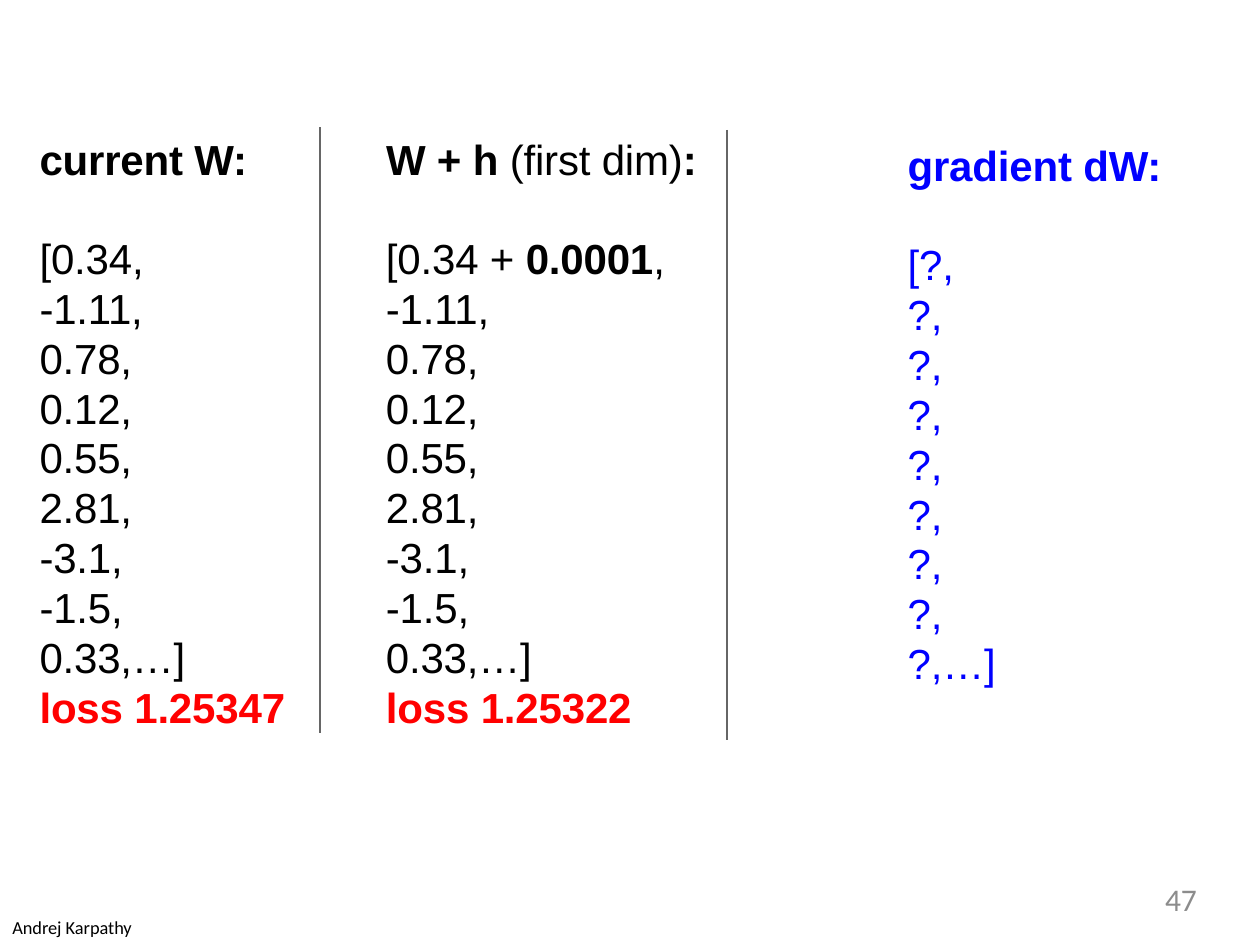
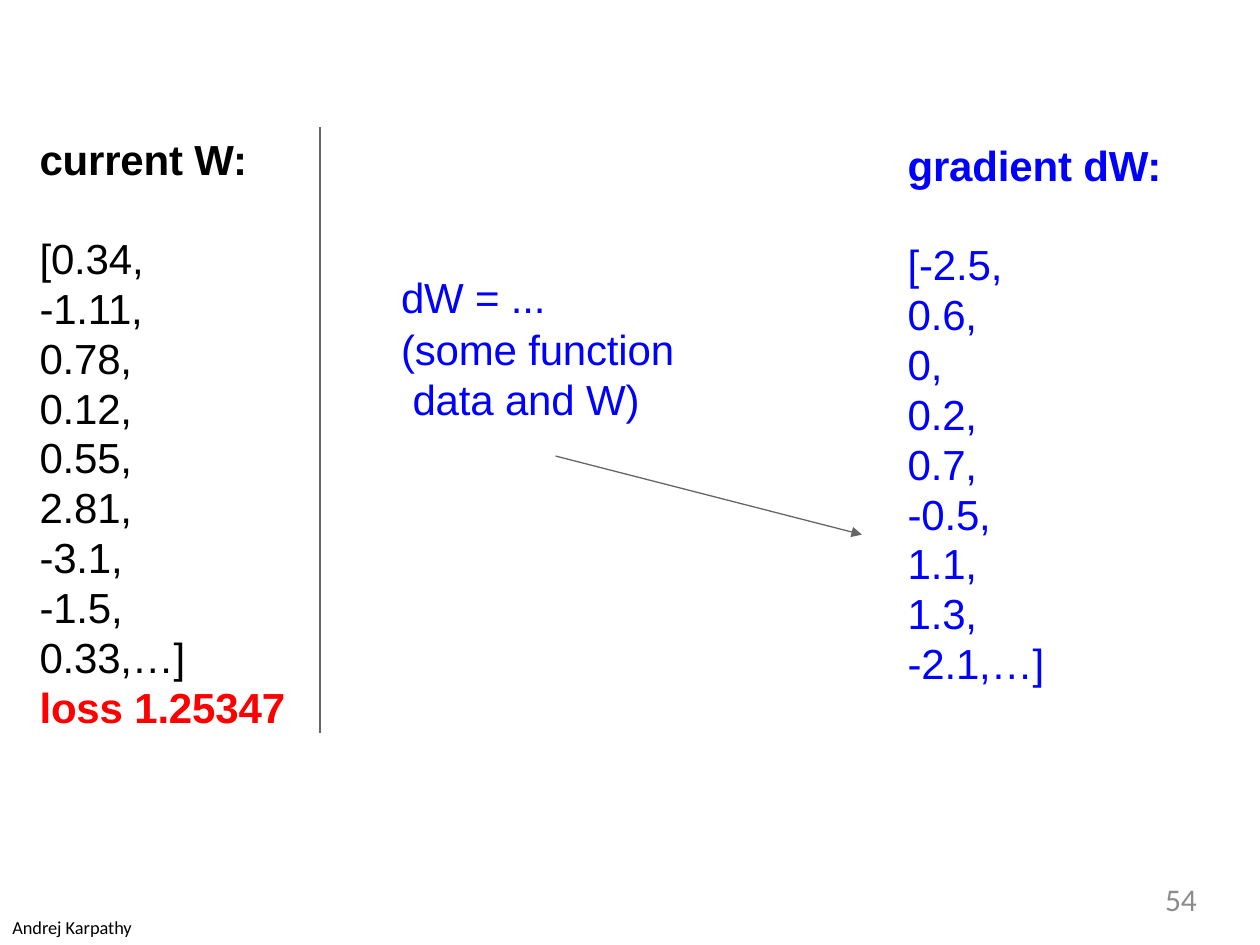
from lxml.etree import SubElement
from pptx import Presentation
from pptx.dml.color import RGBColor
from pptx.enum.shapes import MSO_CONNECTOR as Connector
from pptx.enum.text import MSO_AUTO_SIZE as AutoSize, PP_ALIGN as Align
from pptx.oxml.ns import qn
from pptx.util import Pt

BLACK = RGBColor(0, 0, 0)
RED = RGBColor(255, 0, 0)
BLUE = RGBColor(0, 0, 255)
LINE_GRAY = RGBColor(0x66, 0x66, 0x66)
NUMBER_GRAY = RGBColor(0x8C, 0x8C, 0x8C)

AUTHOR = "Andrej Karpathy"
SHARED_WEIGHTS = ["-1.11,", "0.78,", "0.12,", "0.55,", "2.81,", "-3.1,", "-1.5,", "0.33,…]"]

CURRENT = {
    "heading": [("current W:", True)],
    "values": [[("[0.34,", False)]],
    "loss": "loss 1.25347",
    "left": 21.6, "top": 76.3, "heading_width": 121.7, "values_width": 143.3,
}
SHIFTED = {
    "heading": [("W + h ", True), ("(first dim)", False), (":", True)],
    "values": [[("[0.34 + ", False), ("0.0001", True), (",", False)]],
    "loss": "loss 1.25322",
    "left": 219.6, "top": 76.3, "heading_width": 181.4, "values_width": 162.7,
}
UNKNOWN_GRADIENT = ["[?,"] + ["?,"] * 7 + ["?,…]"]
KNOWN_GRADIENT = ["[-2.5,", "0.6,", "0,", "0.2,", "0.7,", "-0.5,", "1.1,", "1.3,", "-2.1,…]"]
FUNCTION_NOTE = ["dW = ...", "(some function data and W)"]

HEADING_HEIGHT = 29.5
VALUES_OFFSET = 56.9
LINE_SPACING = 28.5
INDENT = 1
HANGING = 6.6
FIRST_DIVIDER = (182.9, 72.7, 182.9, 419)
SECOND_DIVIDER = (415.4, 74.2, 415.4, 422.6)
FUNCTION_ARROW = (317.5, 260.6, 492.5, 305.5)


def style_run(run, size, color, bold=False, name="Arial"):
    run.font.name = name
    run.font.size = Pt(size)
    run.font.bold = bold
    run.font.color.rgb = color


def add_box(slide, left, top, width, height, inset=True):
    shape = slide.shapes.add_textbox(Pt(left), Pt(top), Pt(width), Pt(height))
    frame = shape.text_frame
    frame.word_wrap = True
    frame.auto_size = AutoSize.SHAPE_TO_FIT_TEXT
    if not inset:
        frame.margin_left = frame.margin_right = frame.margin_top = frame.margin_bottom = 0
    return frame


def add_lines(slide, left, top, width, lines, spacing=None):
    height = len(lines) * LINE_SPACING if spacing else HEADING_HEIGHT
    frame = add_box(slide, left, top, width, height, inset=False)
    for index, pieces in enumerate(lines):
        paragraph = frame.add_paragraph() if index else frame.paragraphs[0]
        paragraph._p.get_or_add_pPr().set("marL", str(Pt(INDENT)))
        if spacing:
            paragraph.line_spacing = Pt(spacing)
        for text, bold, color in pieces:
            run = paragraph.add_run()
            run.text = text
            style_run(run, 24, color, bold)
            run._r.get_or_add_rPr().set("spc", "-10")
    return frame


def add_line(slide, ends, arrow=False):
    connector = slide.shapes.add_connector(Connector.STRAIGHT, *map(Pt, ends))
    connector.line.color.rgb = LINE_GRAY
    connector.line.width = Pt(0.75)
    properties = connector._element.spPr
    if arrow:
        SubElement(properties.find(qn("a:ln")), qn("a:tailEnd"), type="triangle", w="med", len="med")
    SubElement(properties, qn("a:effectLst"))


def add_weights(slide, column):
    left, top = column["left"], column["top"]
    heading = [(text, bold, BLACK) for text, bold in column["heading"]]
    values = [[(text, bold, BLACK) for text, bold in row] for row in column["values"]]
    values += [[(text, False, BLACK)] for text in SHARED_WEIGHTS]
    values.append([(column["loss"], True, RED)])
    add_lines(slide, left, top, column["heading_width"], [heading])
    add_lines(slide, left, top + VALUES_OFFSET, column["values_width"], values, LINE_SPACING)


def add_gradient(slide, gradient, width):
    left, top = 517.7, 79.9
    add_lines(slide, left, top, 148.3, [[("gradient dW:", True, BLUE)]])
    values = [[(text, False, BLUE)] for text in gradient]
    add_lines(slide, left, top + VALUES_OFFSET, width, values, LINE_SPACING)


def add_function_note(slide):
    lines = [[(text, False, BLUE)] for text in FUNCTION_NOTE]
    frame = add_lines(slide, 228.2, 155.5, 159.1, lines, LINE_SPACING)
    paragraph = frame.paragraphs[1]
    paragraph.space_before = Pt(1.1)
    properties = paragraph._p.get_or_add_pPr()
    properties.set("marL", str(Pt(INDENT + HANGING)))
    properties.set("indent", str(Pt(-HANGING)))
    add_line(slide, FUNCTION_ARROW, arrow=True)


def add_footer(slide, number):
    author = add_box(slide, 0, 519.8, 84.2, 20.2)
    author.word_wrap = False
    author.text = AUTHOR
    style_run(author.paragraphs[0].runs[0], 10.5, BLACK, name="Calibri")
    page = add_box(slide, 518.4, 502.6, 165.6, 21.6, inset=False)
    page.text = str(number)
    page.paragraphs[0].alignment = Align.RIGHT
    style_run(page.paragraphs[0].runs[0], 18, NUMBER_GRAY, name="Calibri")


def add_base(presentation, number, gradient, gradient_width):
    slide = presentation.slides.add_slide(presentation.slide_layouts[6])
    add_weights(slide, CURRENT)
    add_line(slide, FIRST_DIVIDER)
    add_gradient(slide, gradient, gradient_width)
    add_footer(slide, number)
    return slide


def main():
    presentation = Presentation()
    presentation.slide_width, presentation.slide_height = Pt(720), Pt(540)

    numeric_slide = add_base(presentation, 47, UNKNOWN_GRADIENT, 52.6)
    add_weights(numeric_slide, SHIFTED)
    add_line(numeric_slide, SECOND_DIVIDER)

    analytic_slide = add_base(presentation, 54, KNOWN_GRADIENT, 80.6)
    add_function_note(analytic_slide)

    presentation.save("out.pptx")


if __name__ == "__main__":
    main()
